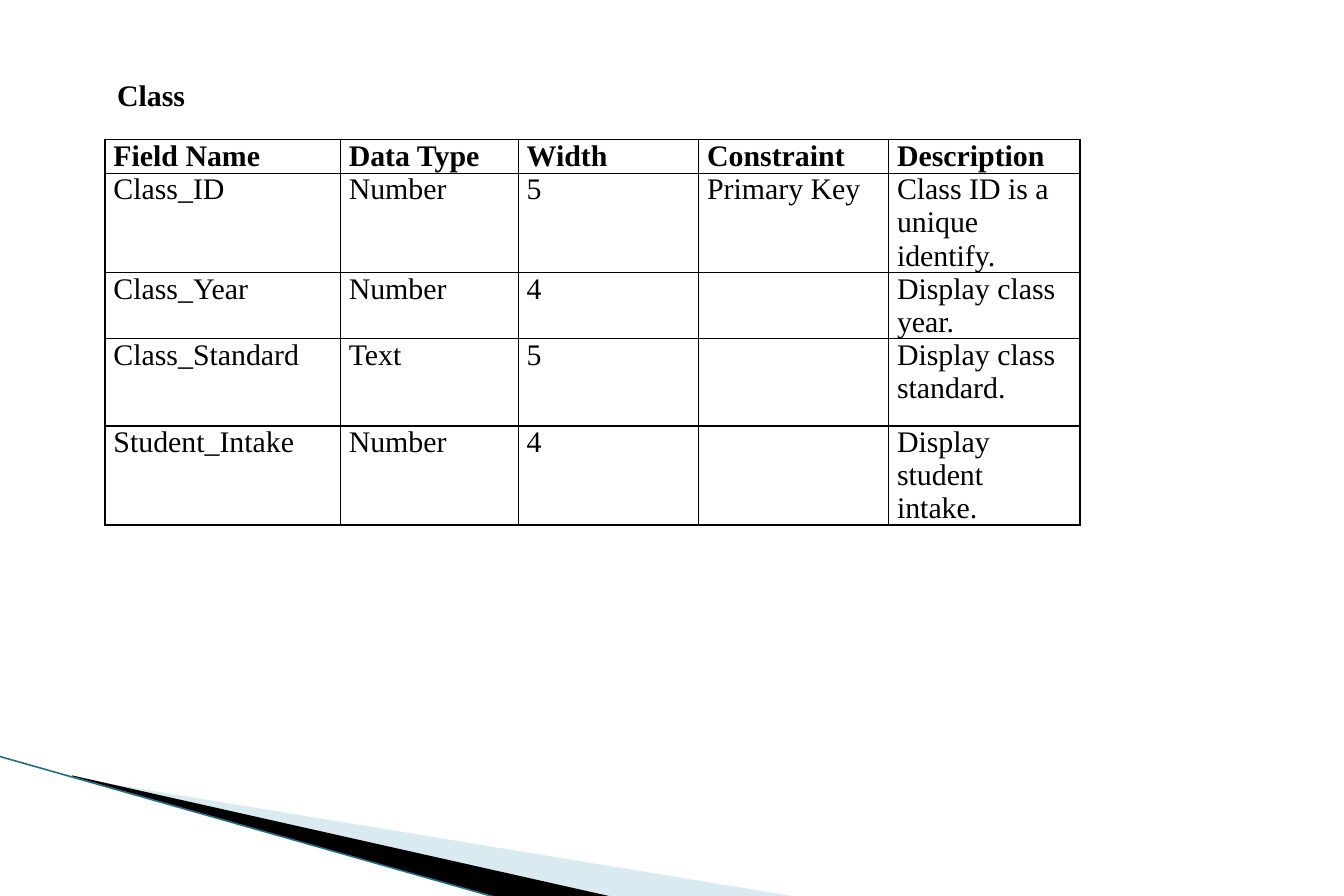
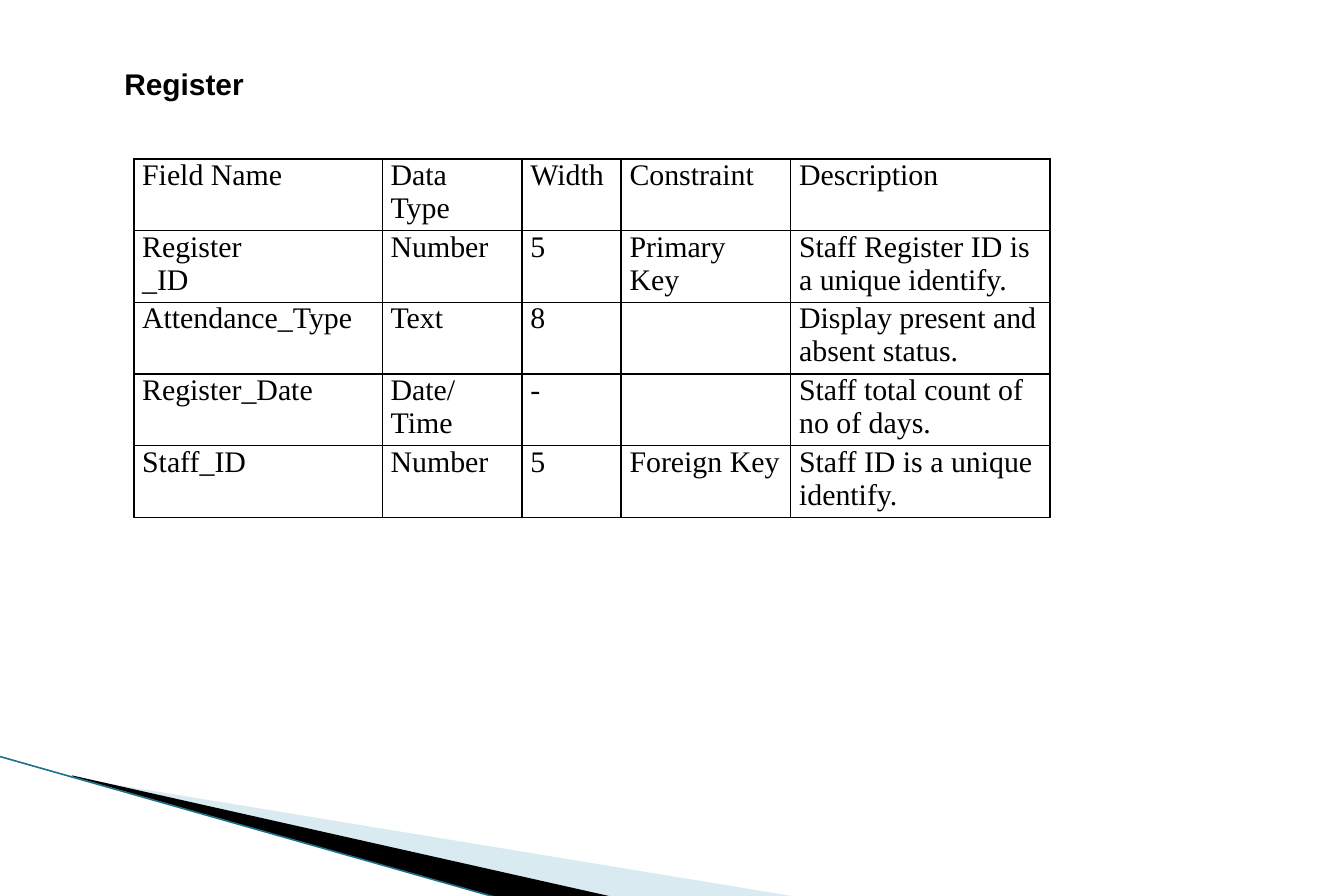
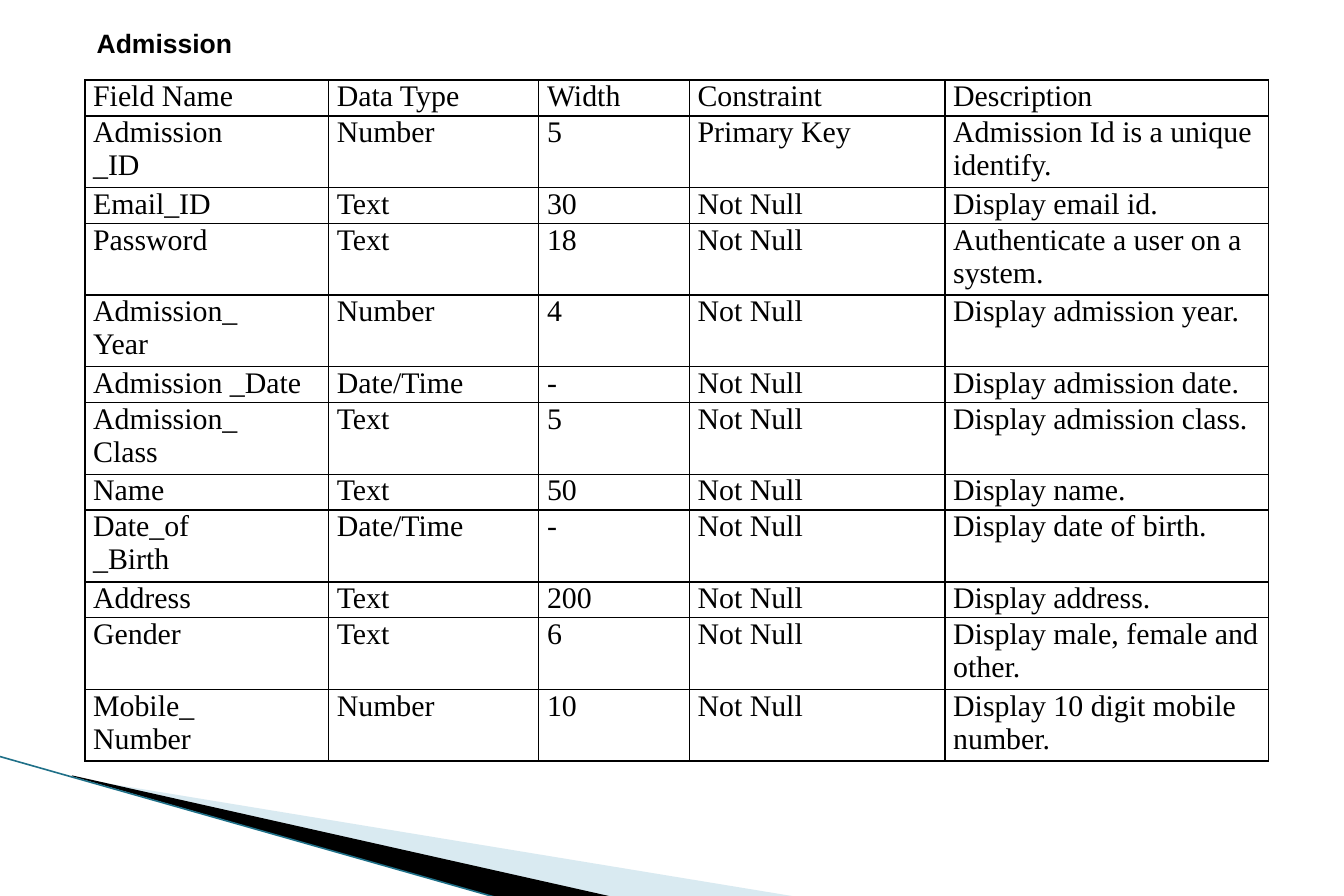
from lxml import etree
from pptx import Presentation
from pptx.dml.color import RGBColor
from pptx.enum.shapes import MSO_CONNECTOR
from pptx.enum.text import MSO_ANCHOR, MSO_AUTO_SIZE, PP_ALIGN
from pptx.oxml.ns import qn
from pptx.util import Inches, Pt

STRAIGHT = MSO_CONNECTOR.STRAIGHT
MIDDLE = MSO_ANCHOR.MIDDLE
NO_AUTOFIT = MSO_AUTO_SIZE.NONE
LEFT = PP_ALIGN.LEFT

# Shared look
BLACK, PALE_BLUE, TEAL = "000000", "A0CBDC", "1F7088"
SERIF, SANS = "Times New Roman", "Arial"
BODY_SIZE = 18
LINE_HEIGHT = 0.3
TITLE_ONLY = 5

# Corner decoration: outline, colour, opacity in percent
WEDGES = [
    ([(0.61, 6.51), (6.69, 7.51), (5.13, 7.51), (0.62, 6.5)], PALE_BLUE, 40),
    ([(0.6, 6.49), (5.14, 7.51), (4.18, 7.52), (0.61, 6.5)], BLACK, 100),
]
EDGE = (-0.01, 6.33, 4.18, 7.52)

# Content: a line break inside a cell starts a new paragraph
HEADER = ("Field Name", "Data Type", "Width", "Constraint", "Description")
SLIDES = [
    {
        "title": "Class", "title_box": (0.88, 0.42, 1, 0.75),
        "title_font": SERIF, "title_size": 18, "bold_header": True,
        "origin": (0.88, 1.17),
        "columns": (1.97, 1.49, 1.51, 1.59, 1.6),
        "heights": (0.28, 0.83, 0.55, 0.73, 0.83),
        "rows": [
            ("Class_ID", "Number", "5", "Primary Key", "Class ID is a unique identify."),
            ("Class_Year", "Number", "4", "", "Display class year."),
            ("Class_Standard", "Text", "5", "", "Display class standard."),
            ("Student_Intake", "Number", "4", "", "Display student intake."),
        ],
    },
    {
        "title": "Register", "title_box": (0.94, 0.5, 1.25, 0.4),
        "title_font": SANS, "title_size": 18, "bold_header": False,
        "origin": (1.12, 1.33),
        "columns": (2.08, 1.17, 0.83, 1.42, 2.17),
        "heights": [2 * LINE_HEIGHT] * 5,
        "rows": [
            ("Register\n_ID", "Number", "5", "Primary\nKey",
             "Staff Register ID is a unique identify."),
            ("Attendance_Type", "Text", "8", "", "Display present and absent status."),
            ("Register_Date", "Date/Time", "-", "", "Staff total count of no of days."),
            ("Staff_ID", "Number", "5", "Foreign Key", "Staff ID is a unique identify."),
        ],
    },
    {
        "title": "Admission", "title_box": (0.71, 0.17, 1.35, 0.37),
        "title_font": SANS, "title_size": 16, "bold_header": False,
        "origin": (0.71, 0.67),
        "columns": (2.04, 1.76, 1.26, 2.14, 2.71),
        "heights": [lines * LINE_HEIGHT for lines in (1, 2, 1, 2, 2, 1, 2, 1, 2, 1, 2, 2)],
        "rows": [
            ("Admission\n_ID", "Number", "5", "Primary Key",
             "Admission Id is a unique identify."),
            ("Email_ID", "Text", "30", "Not Null", "Display email id."),
            ("Password", "Text", "18", "Not Null", "Authenticate a user on a system."),
            ("Admission_\nYear", "Number", "4", "Not Null", "Display admission year."),
            ("Admission _Date", "Date/Time", "-", "Not Null", "Display admission date."),
            ("Admission_\nClass", "Text", "5", "Not Null", "Display admission class."),
            ("Name", "Text", "50", "Not Null", "Display name."),
            ("Date_of\n_Birth", "Date/Time", "-", "Not Null", "Display date of birth."),
            ("Address", "Text", "200", "Not Null", "Display address."),
            ("Gender", "Text", "6", "Not Null", "Display male, female and other."),
            ("Mobile_\nNumber", "Number", "10", "Not Null", "Display 10 digit mobile number."),
        ],
    },
]


def color(value):
    return RGBColor.from_string(value)


def add_run(paragraph, text, font_name, size, bold):
    run = paragraph.add_run()
    run.text = text
    run.font.name = font_name
    run.font.size = Pt(size)
    run.font.bold = bold
    run.font.color.rgb = color(BLACK)


def add_corner(slide):
    """Draw the two wedges and the thin line at the lower left."""
    for points, fill_color, opacity in WEDGES:
        outline = [(Inches(x), Inches(y)) for x, y in points]
        builder = slide.shapes.build_freeform(*outline[0])
        builder.add_line_segments(outline[1:], close=True)
        wedge = builder.convert_to_shape()
        wedge.shadow.inherit = False
        wedge.line.fill.background()
        wedge.fill.solid()
        wedge.fill.fore_color.rgb = color(fill_color)
        if opacity < 100:
            fill = wedge._element.spPr.find(qn("a:solidFill"))
            etree.SubElement(fill[0], qn("a:alpha"), val=str(opacity * 1000))
    edge = slide.shapes.add_connector(STRAIGHT, *map(Inches, EDGE))
    edge.line.color.rgb = color(TEAL)
    edge.line.width = Pt(0.95)
    etree.SubElement(edge._element.spPr, qn("a:effectLst"))


def set_title(slide, content):
    title = slide.shapes.title
    title.left, title.top, title.width, title.height = map(Inches, content["title_box"])
    frame = title.text_frame
    frame.word_wrap = True
    frame.auto_size = NO_AUTOFIT
    frame.vertical_anchor = MIDDLE
    paragraph = frame.paragraphs[0]
    paragraph.alignment = LEFT
    add_run(paragraph, content["title"], content["title_font"], content["title_size"], True)


def add_borders(cell):
    properties = cell._tc.get_or_add_tcPr()
    for position, side in enumerate(("lnL", "lnR", "lnT", "lnB")):
        border = etree.Element(qn("a:" + side), w=str(Pt(1)))
        fill = etree.SubElement(border, qn("a:solidFill"))
        etree.SubElement(fill, qn("a:srgbClr"), val=BLACK)
        properties.insert(position, border)


def fill_cell(cell, text, bold):
    cell.margin_left, cell.margin_right = Inches(0.07), Inches(0.08)
    cell.margin_top = cell.margin_bottom = 0
    cell.fill.background()
    add_borders(cell)
    frame = cell.text_frame
    for index, line in enumerate(text.split("\n") if text else []):
        paragraph = frame.add_paragraph() if index else frame.paragraphs[0]
        add_run(paragraph, line, SERIF, BODY_SIZE, bold)


def add_field_table(slide, content):
    rows = [HEADER] + content["rows"]
    columns, heights = content["columns"], content["heights"]
    left, top = content["origin"]
    table = slide.shapes.add_table(
        len(rows), len(columns), Inches(left), Inches(top),
        Inches(sum(columns)), Inches(sum(heights))).table
    table.first_row = table.horz_banding = False
    for column, width in zip(table.columns, columns):
        column.width = Inches(width)
    for row_index, (values, height) in enumerate(zip(rows, heights)):
        table.rows[row_index].height = Inches(height)
        bold = row_index == 0 and content["bold_header"]
        for column_index, text in enumerate(values):
            fill_cell(table.cell(row_index, column_index), text, bold)


def main():
    presentation = Presentation()
    presentation.slide_width, presentation.slide_height = Inches(11.25), Inches(7.5)
    for content in SLIDES:
        slide = presentation.slides.add_slide(presentation.slide_layouts[TITLE_ONLY])
        add_corner(slide)
        set_title(slide, content)
        add_field_table(slide, content)
    presentation.save("out.pptx")


if __name__ == "__main__":
    main()
